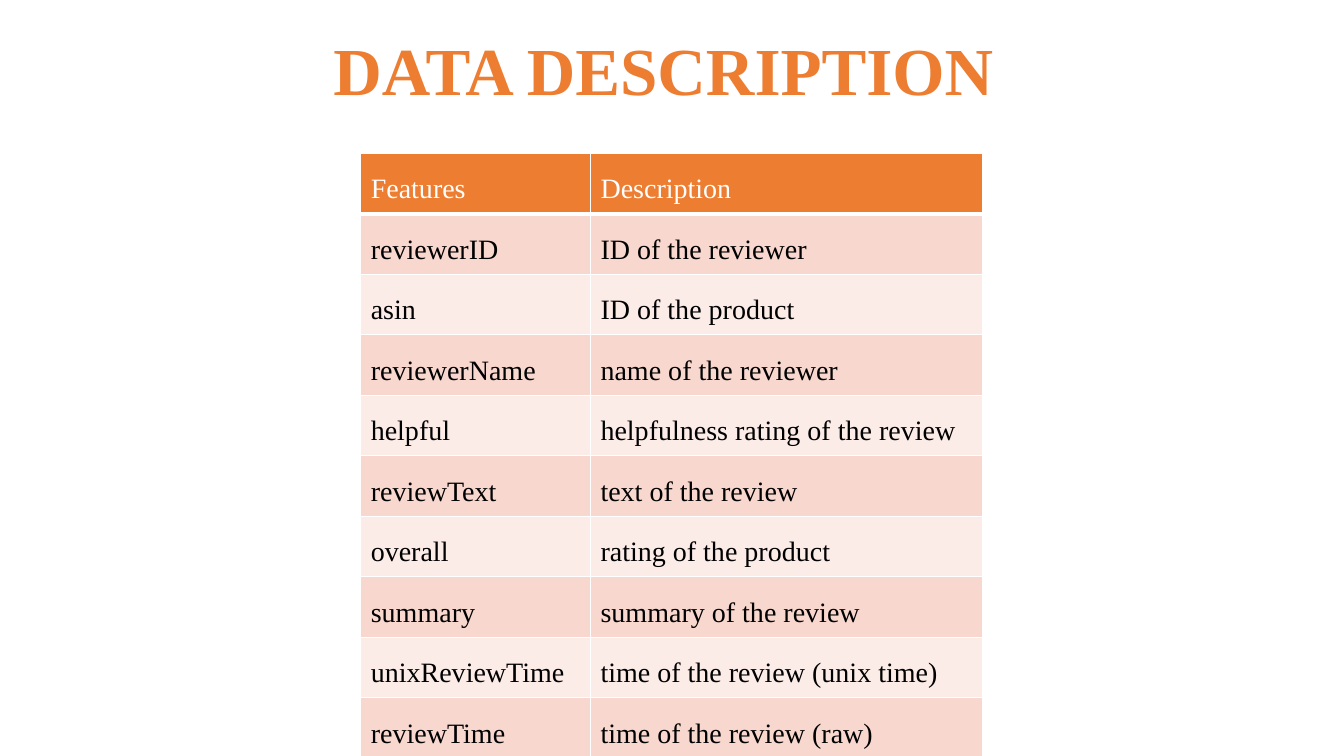
from lxml import etree
from pptx import Presentation
from pptx.dml.color import RGBColor
from pptx.enum.text import MSO_AUTO_SIZE, PP_ALIGN
from pptx.oxml.ns import qn
from pptx.util import Cm, Pt

CENTER = PP_ALIGN.CENTER
JUSTIFY = PP_ALIGN.JUSTIFY
GROW = MSO_AUTO_SIZE.SHAPE_TO_FIT_TEXT
FONT = "Times New Roman"
COLORS = {
    "accent": "ED7D31",
    "odd": "F8D7CE",
    "even": "FCECE8",
    "white": "FFFFFF",
    "black": "000000",
}
FIELDS = [
    ("Features", "Description"),
    ("reviewerID", "ID of the reviewer"),
    ("asin", "ID of the product"),
    ("reviewerName", "name of the reviewer"),
    ("helpful", "helpfulness rating of the review"),
    ("reviewText", "text of the review"),
    ("overall", "rating of the product"),
    ("summary", "summary of the review"),
    ("unixReviewTime", "time of the review (unix time)"),
    ("reviewTime", "time of the review (raw)"),
]


def rgb(name):
    return RGBColor.from_string(COLORS[name])


def write(frame, text, size=20, color="black", bold=False, align=None, space=None):
    para = frame.paragraphs[0]
    para.alignment = align
    para.line_spacing = space
    run = para.add_run()
    run.text = text
    run.font.name = FONT
    run.font.size = Pt(size)
    run.font.bold = bold
    run.font.color.rgb = rgb(color)


def add_title(slide, text):
    box = slide.shapes.add_textbox(0, Cm(0.6), Cm(33.87), Cm(2.31))
    frame = box.text_frame
    frame.word_wrap = True
    frame.auto_size = GROW
    write(frame, text, size=48, color="accent", bold=True, align=CENTER)


def add_edges(cell, base):
    props = cell._tc.get_or_add_tcPr()
    for side, width in (("L", 1), ("R", 1), ("T", 1), ("B", base)):
        line = etree.SubElement(props, qn(f"a:ln{side}"), w=str(Pt(width)))
        fill = etree.SubElement(line, qn("a:solidFill"))
        etree.SubElement(fill, qn("a:srgbClr"), val=COLORS["white"])


def add_cell(cell, text, fill, color, base, align):
    add_edges(cell, base)
    cell.fill.solid()
    cell.fill.fore_color.rgb = rgb(fill)
    write(cell.text_frame, text, color=color, align=align, space=1.5)


def add_fields(slide, fields):
    last = len(fields) - 1
    shape = slide.shapes.add_table(
        len(fields), 2, Cm(9.09), Cm(3.86), Cm(15.67), Cm(11.6)
    )
    table = shape.table
    for column, width in zip(table.columns, (5.79, 9.88)):
        column.width = Cm(width)
    for i, texts in enumerate(fields):
        table.rows[i].height = Cm(1.7 if i == last else 1.1)
        head = i == 0
        fill = "accent" if head else ("even", "odd")[i % 2]
        color = "white" if head else "black"
        for j, text in enumerate(texts):
            align = JUSTIFY if (i, j) == (last, 1) else None
            add_cell(table.cell(i, j), text, fill, color, 3 if head else 1, align)


def main():
    deck = Presentation()
    deck.slide_width = Cm(33.87)
    deck.slide_height = Cm(19.05)
    slide = deck.slides.add_slide(deck.slide_layouts[6])
    add_title(slide, "DATA DESCRIPTION ")
    add_fields(slide, FIELDS)
    deck.save("out.pptx")


if __name__ == "__main__":
    main()
